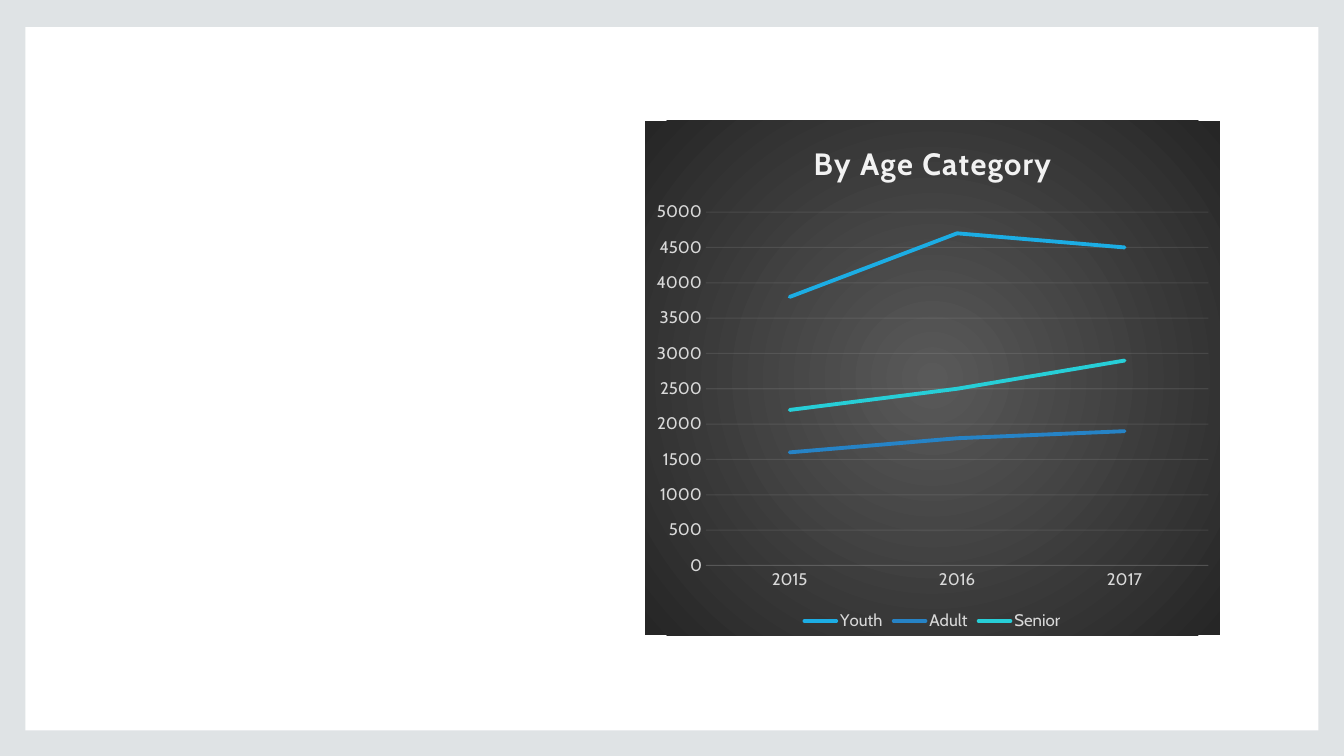
from lxml import etree
from pptx import Presentation
from pptx import util as u
from pptx.chart.data import CategoryChartData
from pptx.dml.color import RGBColor
from pptx.enum import chart as ch
from pptx.enum import shapes
from pptx.oxml import parse_xml
from pptx.oxml.ns import nsdecls, qn

FONT = "Cabin"
BACKDROP = RGBColor(0xDF, 0xE3, 0xE5)
WHITE = RGBColor(0xFF, 0xFF, 0xFF)
PALE = RGBColor(0xF2, 0xF2, 0xF2)
LABEL = RGBColor(0xD9, 0xD9, 0xD9)
GLOW = RGBColor(0x59, 0x59, 0x59)
EDGE = RGBColor(0x26, 0x26, 0x26)
YEARS = ("2015", "2016", "2017")
AGE_GROUPS = (
    ("Youth", (3800, 4700, 4500), RGBColor(0x1C, 0xAD, 0xE4)),
    ("Adult", (1600, 1800, 1900), RGBColor(0x26, 0x83, 0xC6)),
    ("Senior", (2200, 2500, 2900), RGBColor(0x27, 0xCE, 0xD7)),
)


def style_font(font, size, color, bold=False):
    """Apply the deck's typeface with the given size and colour."""
    font.name, font.size, font.bold = FONT, u.Pt(size), bold
    font.color.rgb = color


def faint_line(chart_format):
    """Draw a thin pale line at ten percent opacity."""
    line = chart_format.line
    line.width = u.Pt(0.75)
    line.color.rgb = PALE
    color = line._get_or_add_ln().find(".//" + qn("a:srgbClr"))
    etree.SubElement(color, qn("a:alpha")).set("val", "10000")


def radial_background(chart):
    """Fill the chart area with a gradient that darkens from its centre."""
    chart._chartSpace.find(qn("c:chart")).addnext(parse_xml(
        f'<c:spPr {nsdecls("c", "a")}><a:gradFill><a:gsLst>'
        f'<a:gs pos="0"><a:srgbClr val="{GLOW}"/></a:gs>'
        f'<a:gs pos="100000"><a:srgbClr val="{EDGE}"/></a:gs></a:gsLst>'
        '<a:path path="circle"><a:fillToRect l="50000" t="50000" r="50000" b="50000"/></a:path>'
        '</a:gradFill><a:ln><a:noFill/></a:ln></c:spPr>'))


def add_panel(slide, box):
    """Lay the white panel inside the slide's border."""
    panel = slide.shapes.add_shape(shapes.MSO_SHAPE.RECTANGLE, *box)
    panel.shadow.inherit = False
    panel.fill.solid()
    panel.fill.fore_color.rgb = WHITE
    panel.line.fill.background()


def style_axes(chart):
    """Format the year axis, the value axis and its gridlines."""
    years, values = chart.category_axis, chart.value_axis
    for axis in (years, values):
        axis.major_tick_mark = axis.minor_tick_mark = ch.XL_TICK_MARK.NONE
        style_font(axis.tick_labels.font, 12, LABEL)
    faint_line(years.format)
    values.format.line.fill.background()
    values.minimum_scale, values.maximum_scale, values.major_unit = 0, 5000, 500
    values.has_major_gridlines = True
    faint_line(values.major_gridlines.format)


def add_age_chart(slide, box):
    """Plot the age categories as lines over the years."""
    data = CategoryChartData()
    data.categories = YEARS
    for name, counts, _ in AGE_GROUPS:
        data.add_series(name, counts)
    chart = slide.shapes.add_chart(ch.XL_CHART_TYPE.LINE, *box, data).chart
    chart.font.name, chart.font.size = FONT, u.Pt(10)
    radial_background(chart)

    chart.has_title = True
    heading = chart.chart_title.text_frame.paragraphs[0]
    heading.text = "By Age Category"
    style_font(heading.font, 22, PALE, bold=True)
    heading._p.pPr.find(qn("a:defRPr")).set("spc", "100")
    heading.runs[0]._r.get_or_add_rPr().set("spc", "100")
    chart.chart_title.include_in_layout = False

    style_axes(chart)
    chart.has_legend = True
    chart.legend.position = ch.XL_LEGEND_POSITION.BOTTOM
    chart.legend.include_in_layout = False
    style_font(chart.legend.font, 12, LABEL)

    plot = chart.plots[0]
    plot.vary_by_categories = False
    for series, (_, _, color) in zip(plot.series, AGE_GROUPS):
        series.smooth = False
        series.marker.style = ch.XL_MARKER_STYLE.NONE
        series.format.line.width = u.Pt(2.75)
        series.format.line.color.rgb = color
        series.format.line._get_or_add_ln().set("cap", "rnd")


def main():
    """Build and save the slide."""
    deck = Presentation()
    deck.slide_width, deck.slide_height = u.Inches(13.33), u.Inches(7.5)
    slide = deck.slides.add_slide(deck.slide_layouts[6])
    slide.background.fill.solid()
    slide.background.fill.fore_color.rgb = BACKDROP

    def share(left, top, width, height):
        """Turn shares of the slide into a box."""
        wide, high = deck.slide_width, deck.slide_height
        return int(left * wide), int(top * high), int(width * wide), int(height * high)

    add_panel(slide, share(0.019, 0.036, 0.962, 0.93))
    add_age_chart(slide, share(0.48, 0.16, 0.4276, 0.68))
    deck.save("out.pptx")


if __name__ == "__main__":
    main()
